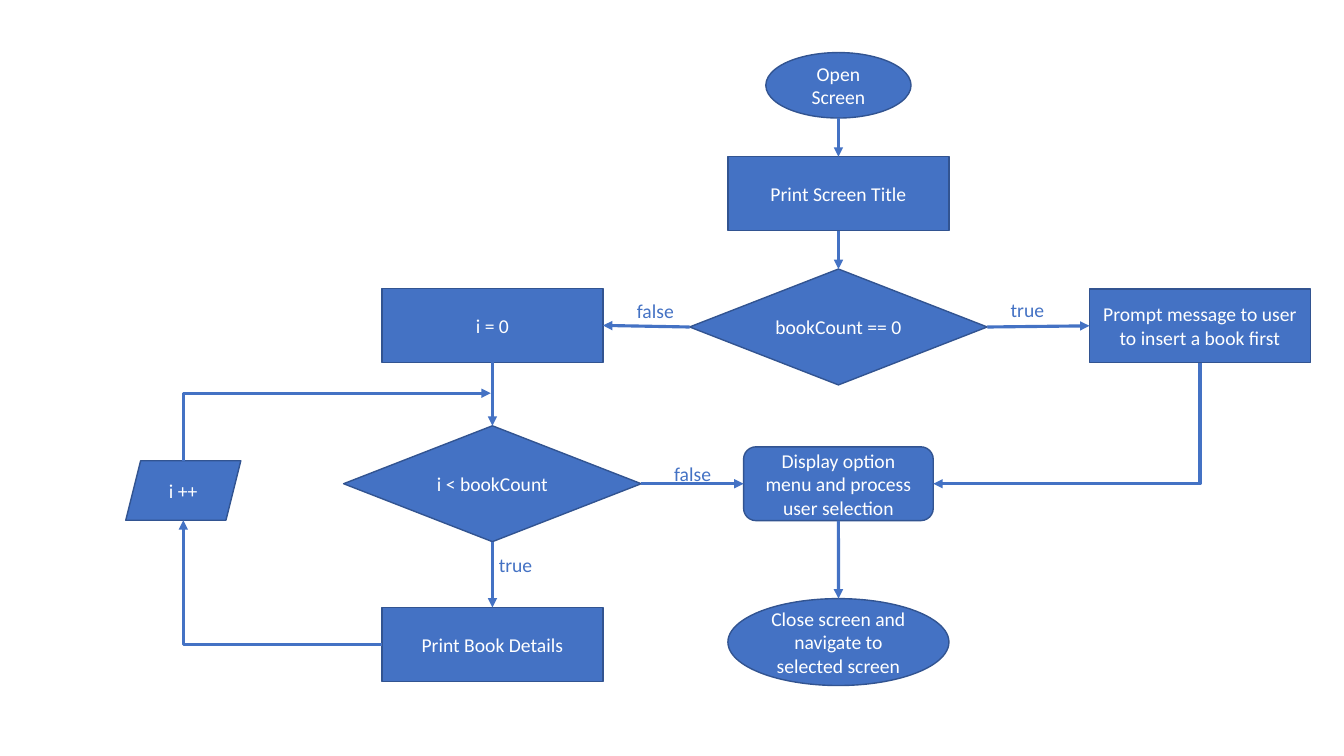
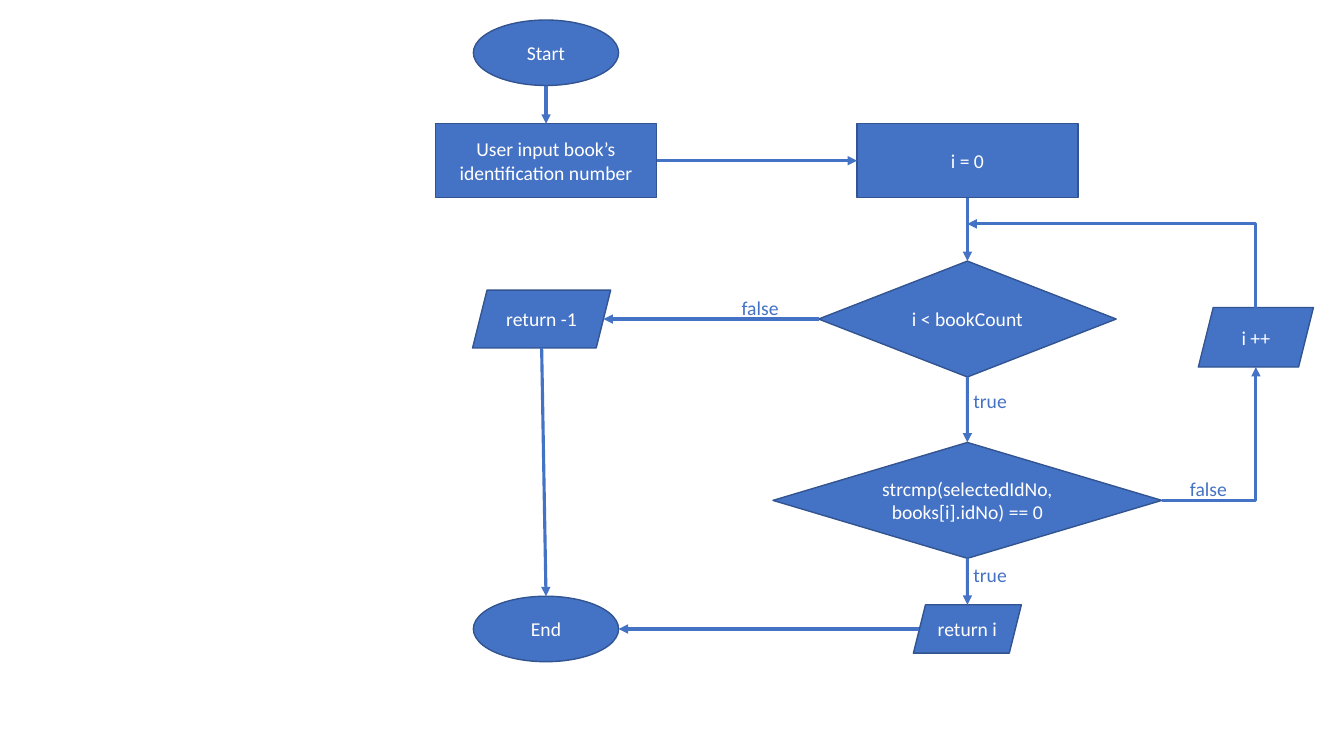
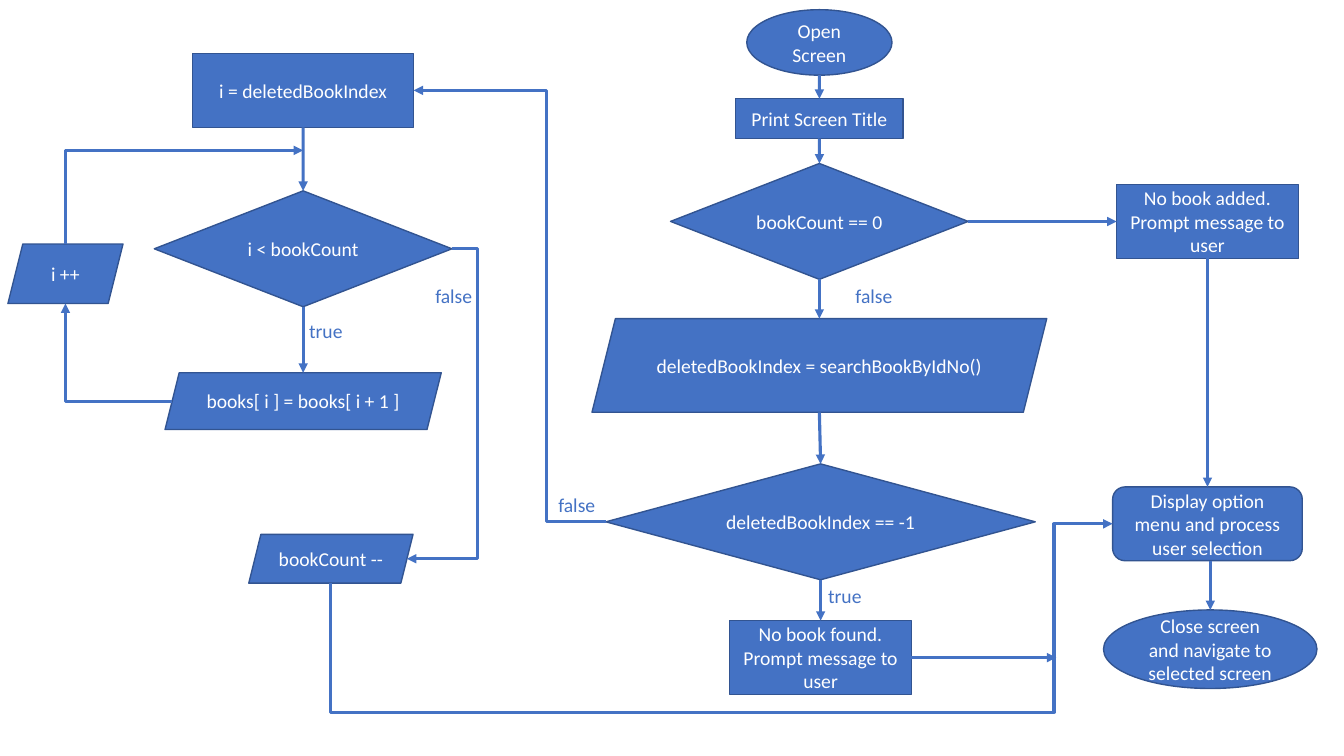
from dataclasses import dataclass
from typing import NamedTuple

from lxml import etree
from pptx import Presentation
from pptx.dml.color import RGBColor
from pptx.enum.shapes import MSO_CONNECTOR, MSO_SHAPE
from pptx.enum.text import MSO_ANCHOR, PP_ALIGN
from pptx.oxml.ns import qn
from pptx.shapes.autoshape import Shape
from pptx.shapes.connector import Connector
from pptx.slide import Slide
from pptx.text.text import TextFrame
from pptx.util import Cm, Pt

RECTANGLE = MSO_SHAPE.RECTANGLE
ROUNDED = MSO_SHAPE.ROUNDED_RECTANGLE
ELLIPSE = MSO_SHAPE.OVAL
DIAMOND = MSO_SHAPE.DIAMOND
SLANTED = MSO_SHAPE.PARALLELOGRAM
STRAIGHT, ELBOW = MSO_CONNECTOR.STRAIGHT, MSO_CONNECTOR.ELBOW
CENTER, LEFT_ALIGN = PP_ALIGN.CENTER, PP_ALIGN.LEFT
MIDDLE = MSO_ANCHOR.MIDDLE

COLORS = {"blue": "4472C4", "outline": "325491", "white": "FFFFFF"}
FONT, FONT_SIZE = "Calibri", 14
TOP, LEFT, BOTTOM, RIGHT = range(4)
JOINABLE = (RECTANGLE, ROUNDED, DIAMOND)
LABEL_WIDTHS = {"true": 1.37, "false": 1.45}
LABEL_HEIGHT = 0.86


class Kind(NamedTuple):
    """Preset shape with its width and height in centimetres."""
    preset: MSO_SHAPE
    width: float
    height: float


class Point(NamedTuple):
    x: float
    y: float


class Side(NamedTuple):
    """Middle of one side of a named node."""
    node: str
    side: int


@dataclass(frozen=True)
class Node:
    """Flowchart shape placed by its centre, in centimetres."""
    text: str
    kind: Kind
    x: float
    y: float

    def anchor(self, side: int) -> Point:
        half_width, half_height = self.kind.width / 2, self.kind.height / 2
        if side in (TOP, BOTTOM):
            return Point(self.x, self.y + (half_height if side == BOTTOM else -half_height))
        if self.kind.preset == SLANTED:
            half_width -= min(self.kind.width, self.kind.height) / 8
        return Point(self.x + (half_width if side == RIGHT else -half_width), self.y)


@dataclass(frozen=True)
class Link:
    """Arrow; turns is None when straight, else the positions of its middle legs."""
    start: Side | Point
    end: Side | Point
    turns: tuple[float, ...] | None = None


@dataclass(frozen=True)
class Label:
    text: str
    left: float
    top: float


@dataclass(frozen=True)
class Flowchart:
    nodes: dict[str, Node]
    links: list[Link]
    labels: list[Label]


TERMINAL = Kind(ELLIPSE, 3.66, 1.65)
PROCESS = Kind(RECTANGLE, 5.57, 1.86)
MESSAGE = Kind(RECTANGLE, 4.58, 1.86)
DECISION = Kind(DIAMOND, 7.5, 2.92)
INCREMENT = Kind(SLANTED, 2.9, 1.5)
MENU = Kind(ROUNDED, 4.78, 1.86)
MENU_TEXT = "Display option menu and process user selection"
CLOSE_TEXT = "Close screen and navigate to selected screen"


def chain(*names: str) -> list[Link]:
    """Straight arrows running down through the named nodes."""
    return [Link(Side(upper, BOTTOM), Side(lower, TOP)) for upper, lower in zip(names, names[1:])]


VIEW_BOOKS = Flowchart(
    nodes={
        "open": Node("Open Screen", TERMINAL, 21.13, 2.15),
        "title": Node("Print Screen Title", PROCESS, 21.13, 4.88),
        "empty": Node("bookCount == 0", DECISION, 21.13, 8.24),
        "prompt": Node("Prompt message to user\nto insert a book first", PROCESS, 30.24, 8.21),
        "menu": Node(MENU_TEXT, MENU, 21.13, 12.19),
        "close": Node(CLOSE_TEXT, Kind(ELLIPSE, 5.57, 2.19), 21.13, 16.18),
        "init": Node("i = 0", PROCESS, 12.41, 8.2),
        "loop": Node("i < bookCount", DECISION, 12.41, 12.19),
        "details": Node("Print Book Details", PROCESS, 12.41, 16.24),
        "next": Node("i ++", INCREMENT, 4.62, 12.36),
    },
    links=[
        *chain("open", "title", "empty"),
        *chain("menu", "close"),
        *chain("init", "loop", "details"),
        Link(Side("empty", RIGHT), Side("prompt", LEFT)),
        Link(Side("empty", LEFT), Side("init", RIGHT)),
        Link(Side("loop", RIGHT), Side("menu", LEFT)),
        Link(Side("prompt", BOTTOM), Side("menu", RIGHT), ()),
        Link(Side("details", LEFT), Side("next", BOTTOM), ()),
        Link(Side("next", TOP), Point(12.37, 9.91), ()),
    ],
    labels=[
        Label("false", 16.74, 11.51),
        Label("true", 12.32, 13.82),
        Label("false", 15.8, 7.42),
        Label("true", 25.22, 7.39),
    ],
)

SEARCH_BOOK = Flowchart(
    nodes={
        "start": Node("Start", TERMINAL, 13.76, 1.33),
        "input": Node("User input book’s\videntification number", PROCESS, 13.76, 4.05),
        "init": Node("i = 0", PROCESS, 24.38, 4.05),
        "loop": Node("i < bookCount", DECISION, 24.38, 8.04),
        "compare": Node("strcmp(selectedIdNo, books[i].idNo) == 0",
                        Kind(DIAMOND, 9.8, 2.92), 24.38, 12.61),
        "found": Node("return i", Kind(SLANTED, 2.72, 1.22), 24.38, 15.85),
        "missing": Node("return -1", Kind(SLANTED, 3.48, 1.46), 13.65, 8.04),
        "end": Node("End", TERMINAL, 13.76, 15.85),
        "next": Node("i ++", INCREMENT, 31.65, 8.5),
    },
    links=[
        *chain("start", "input"),
        *chain("init", "loop", "compare", "found"),
        *chain("missing", "end"),
        Link(Side("input", RIGHT), Side("init", LEFT)),
        Link(Side("loop", LEFT), Side("missing", RIGHT)),
        Link(Side("found", LEFT), Side("end", RIGHT)),
        Link(Side("compare", RIGHT), Side("next", BOTTOM), ()),
        Link(Side("next", TOP), Point(24.38, 5.64), ()),
    ],
    labels=[
        Label("true", 24.28, 9.68),
        Label("true", 24.28, 14.05),
        Label("false", 29.74, 11.89),
        Label("false", 18.44, 7.32),
    ],
)

DELETE_BOOK = Flowchart(
    nodes={
        "open": Node("Open Screen", TERMINAL, 20.65, 1.07),
        "title": Node("Print Screen Title", Kind(RECTANGLE, 4.22, 1), 20.65, 2.99),
        "empty": Node("bookCount == 0", DECISION, 20.65, 5.58),
        "search": Node("deletedBookIndex = searchBookByIdNo()",
                       Kind(SLANTED, 11.46, 2.36), 20.65, 9.21),
        "missing": Node("deletedBookIndex == -1", Kind(DIAMOND, 10.82, 2.92), 20.68, 13.15),
        "not found": Node("No book found.\nPrompt message to user", MESSAGE, 20.68, 16.57),
        "no books": Node("No book added.\nPrompt message to user", MESSAGE, 30.43, 5.58),
        "menu": Node(MENU_TEXT, MENU, 30.43, 13.2),
        "close": Node(CLOSE_TEXT, Kind(ELLIPSE, 5.38, 1.98), 30.5, 16.36),
        "init": Node("i = deletedBookIndex", PROCESS, 7.64, 2.28),
        "loop": Node("i < bookCount", DECISION, 7.64, 6.27),
        "shift": Node("books[ i ] = books[ i + 1 ]", Kind(SLANTED, 6.96, 1.43), 7.64, 10.11),
        "next": Node("i ++", INCREMENT, 1.65, 6.9),
        "decrement": Node("bookCount --", Kind(SLANTED, 4.14, 1.23), 8.34, 14.08),
    },
    links=[
        *chain("open", "title", "empty", "search", "missing", "not found"),
        *chain("no books", "menu"),
        *chain("init", "loop", "shift"),
        Link(Point(30.5, 14.13), Side("close", TOP)),
        Link(Side("empty", RIGHT), Side("no books", LEFT)),
        Link(Side("not found", RIGHT), Point(26.62, 16.57)),
        Link(Side("shift", LEFT), Side("next", BOTTOM), ()),
        Link(Side("next", TOP), Point(7.64, 3.79), ()),
        Link(Side("loop", RIGHT), Side("decrement", RIGHT), (12.03,)),
        Link(Side("missing", LEFT), Side("init", RIGHT), (13.77,)),
        Link(Side("decrement", BOTTOM), Side("menu", LEFT), (17.95, 26.56)),
    ],
    labels=[
        Label("false", 21.31, 7.04),
        Label("true", 7.54, 7.9),
        Label("false", 10.72, 7.04),
        Label("false", 13.82, 12.29),
        Label("true", 20.62, 14.58),
    ],
)


def rgb(name: str) -> RGBColor:
    return RGBColor.from_string(COLORS[name])


def write_text(frame: TextFrame, text: str, color: str, alignment: PP_ALIGN) -> None:
    frame.text = text
    for para in frame.paragraphs:
        para.alignment = alignment
        for span in para.runs:
            span.font.name = FONT
            span.font.size = Pt(FONT_SIZE)
            span.font.color.rgb = rgb(color)


def draw_node(page: Slide, node: Node) -> Shape:
    kind = node.kind
    box = page.shapes.add_shape(kind.preset, Cm(node.x - kind.width / 2),
                                Cm(node.y - kind.height / 2), Cm(kind.width), Cm(kind.height))
    box.shadow.inherit = False
    box.fill.solid()
    box.fill.fore_color.rgb = rgb("blue")
    box.line.color.rgb = rgb("outline")
    box.line.width = Pt(1)
    box.text_frame.word_wrap = True
    box.text_frame.vertical_anchor = MIDDLE
    write_text(box.text_frame, node.text, "white", CENTER)
    return box


def draw_label(page: Slide, label: Label) -> None:
    box = page.shapes.add_textbox(Cm(label.left), Cm(label.top),
                                  Cm(LABEL_WIDTHS[label.text]), Cm(LABEL_HEIGHT))
    box.text_frame.word_wrap = False
    write_text(box.text_frame, label.text, "blue", LEFT_ALIGN)


def style_arrow(arrow: Connector) -> None:
    arrow.line.color.rgb = rgb("blue")
    arrow.line.width = Pt(2.25)
    properties = arrow._element.spPr
    etree.SubElement(properties.find(qn("a:ln")), qn("a:tailEnd"), type="triangle")
    etree.SubElement(properties, qn("a:effectLst"))


def bend(arrow: Connector, start: Point, end: Point, vertical: bool,
         turns: tuple[float, ...]) -> None:
    """Fit an elbow whose first leg is vertical or horizontal and which has the given turns."""
    across, down = end.x - start.x, end.y - start.y
    width, height = (abs(down), abs(across)) if vertical else (abs(across), abs(down))
    arrow.left = Cm((start.x + end.x - width) / 2)
    arrow.top = Cm((start.y + end.y - height) / 2)
    arrow.width, arrow.height = Cm(width), Cm(height)
    flip_h, flip_v = (down < 0, across > 0) if vertical else (across < 0, down < 0)
    properties = arrow._element.spPr
    frame = properties.find(qn("a:xfrm"))
    frame.set("rot", "5400000" if vertical else "0")
    frame.set("flipH", str(int(flip_h)))
    frame.set("flipV", str(int(flip_v)))

    geometry = properties.find(qn("a:prstGeom"))
    geometry.set("prst", f"bentConnector{len(turns) + 2}")
    guides = geometry.find(qn("a:avLst"))
    for number, turn in enumerate(turns, 1):
        axis = (number - 1 + vertical) % 2
        share = (turn - start[axis]) / (end[axis] - start[axis])
        etree.SubElement(guides, qn("a:gd"), name=f"adj{number}",
                         fmla=f"val {round(share * 100000)}")


def draw_link(page: Slide, link: Link, nodes: dict[str, Node], boxes: dict[str, Shape]) -> None:
    start, end = (nodes[stop.node].anchor(stop.side) if isinstance(stop, Side) else stop
                  for stop in (link.start, link.end))
    arrow = page.shapes.add_connector(STRAIGHT if link.turns is None else ELBOW,
                                      Cm(start.x), Cm(start.y), Cm(end.x), Cm(end.y))
    for stop, connect in ((link.start, arrow.begin_connect), (link.end, arrow.end_connect)):
        if isinstance(stop, Side) and nodes[stop.node].kind.preset in JOINABLE:
            connect(boxes[stop.node], stop.side)
    if link.turns is not None:
        bend(arrow, start, end, link.start.side in (TOP, BOTTOM), link.turns)
    style_arrow(arrow)


def draw_flowchart(page: Slide, chart: Flowchart) -> None:
    boxes = {name: draw_node(page, node) for name, node in chart.nodes.items()}
    for link in chart.links:
        draw_link(page, link, chart.nodes, boxes)
    for label in chart.labels:
        draw_label(page, label)


def main() -> None:
    deck = Presentation()
    deck.slide_width, deck.slide_height = Cm(33.87), Cm(19.05)
    blank = deck.slide_layouts.get_by_name("Blank")
    for chart in (VIEW_BOOKS, SEARCH_BOOK, DELETE_BOOK):
        draw_flowchart(deck.slides.add_slide(blank), chart)
    deck.save("out.pptx")


if __name__ == "__main__":
    main()
